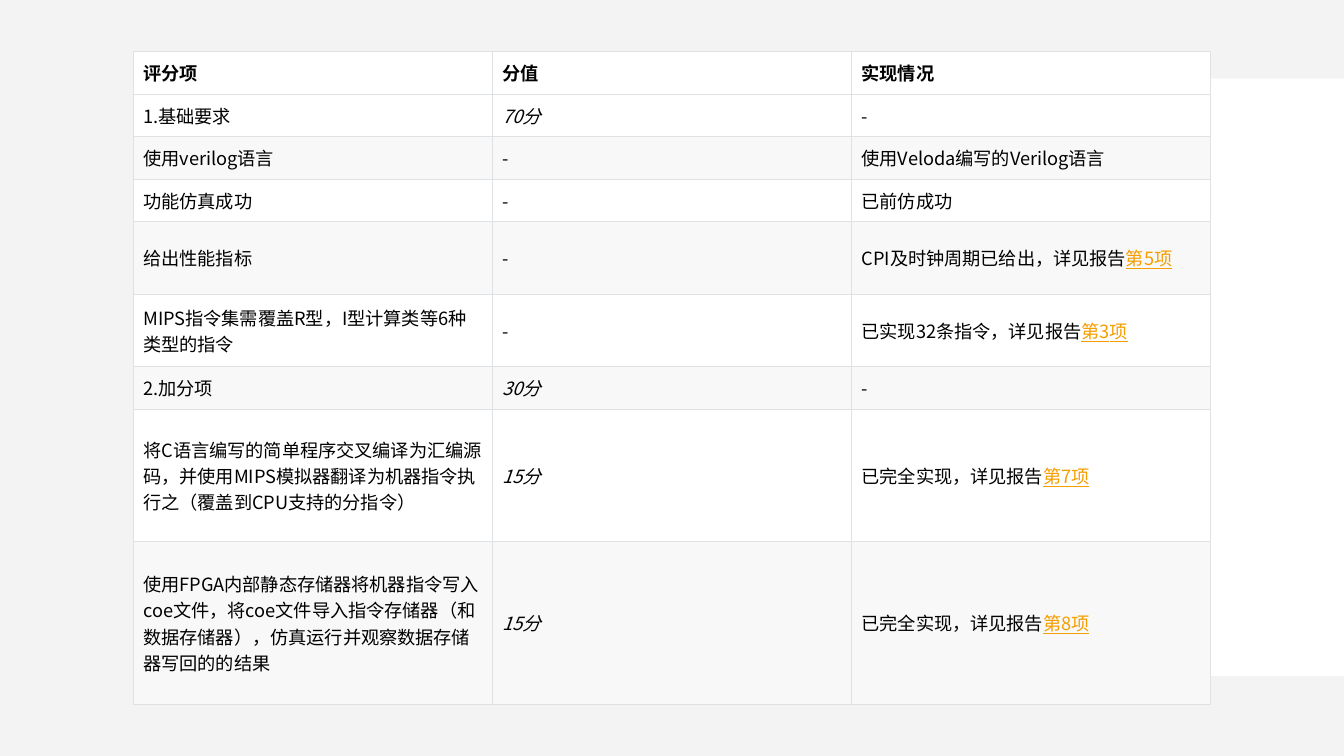
from lxml.etree import SubElement
from pptx import Presentation
from pptx.dml.color import RGBColor
from pptx.enum.shapes import MSO_SHAPE as SHAPE
from pptx.enum.text import MSO_ANCHOR as ANCHOR
from pptx.oxml import parse_xml
from pptx.oxml.ns import nsdecls, qn
from pptx.util import Cm, Pt

FONT = "Noto Sans CJK SC"
COLORS = {
    "backdrop": "DDDDDD",
    "white": "FFFFFF",
    "stripe": "F8F8F8",
    "border": "DFE2E5",
    "text": "000000",
    "accent": "F59E00",
}
HEADER = ("评分项", "分值", "实现情况", "")
ROWS = [
    (1.07, HEADER),
    (1.07, ("1.基础要求", "70分", "-", "")),
    (1.07, ("使用verilog语言", "-", "使用Veloda编写的Verilog语言", "")),
    (1.07, ("功能仿真成功", "-", "已前仿成功", "")),
    (1.83, ("给出性能指标", "-", "CPI及时钟周期已给出，详见报告", "第5项")),
    (1.83, ("MIPS指令集需覆盖R型，I型计算类等6种类型的指令", "-",
            "已实现32条指令，详见报告", "第3项")),
    (1.07, ("2.加分项", "30分", "-", "")),
    (3.34, ("将C语言编写的简单程序交叉编译为汇编源码，并使用MIPS模拟器翻译为机器指令执行之"
            "（覆盖到CPU支持的分指令）", "15分", "已完全实现，详见报告", "第7项")),
    (4.1, ("使用FPGA内部静态存储器将机器指令写入coe文件，将coe文件导入指令存储器"
           "（和数据存储器），仿真运行并观察数据存储器写回的的结果", "15分",
           "已完全实现，详见报告", "第8项")),
]


def add_run(p, text, color, bold=False, italic=False, underline=False):
    r = p.add_run()
    r.text = text
    r.font.name = FONT
    r.font.size = Pt(13)
    r.font.bold = bold
    r.font.italic = italic
    r.font.underline = underline
    r.font.color.rgb = RGBColor.from_string(COLORS[color])
    SubElement(r.font._element, qn("a:ea"), typeface=FONT)


def set_borders(cell):
    tcPr = cell._tc.get_or_add_tcPr()
    for i, side in enumerate(("lnL", "lnR", "lnT", "lnB")):
        tcPr.insert(i, parse_xml(
            f'<a:{side} {nsdecls("a")} w="{Pt(0.75)}"><a:solidFill>'
            f'<a:srgbClr val="{COLORS["border"]}"/></a:solidFill></a:{side}>'))


prs = Presentation()
prs.slide_width, prs.slide_height = Cm(33.87), Cm(19.05)
s = prs.slides.add_slide(prs.slide_layouts[6])

panels = [
    ("backdrop", 35, (0, 0, 33.87, 19.05)),
    ("white", 100, (4.11, 1.98, 29.76, 15.06)),
]
for color, opacity, box in panels:
    sp = s.shapes.add_shape(SHAPE.RECTANGLE, *map(Cm, box))
    sp.shadow.inherit = False
    sp.line.fill.background()
    sp.fill.solid()
    sp.fill.fore_color.rgb = RGBColor.from_string(COLORS[color])
    if opacity < 100:
        clr = sp._element.spPr.find(qn("a:solidFill"))[0]
        SubElement(clr, qn("a:alpha"), val=str(opacity * 1000))

height = sum(h for h, _ in ROWS)
table = s.shapes.add_table(len(ROWS), 3, Cm(3.36), Cm(1.3), Cm(27.15), Cm(height)).table
for column in table.columns:
    column.width = Cm(9.05)

for i, (row_height, (item, score, status, link)) in enumerate(ROWS):
    table.rows[i].height = Cm(row_height)
    fill = "stripe" if i and i % 2 == 0 else "white"
    for j, text in enumerate((item, score, status)):
        cell = table.cell(i, j)
        cell.vertical_anchor = ANCHOR.MIDDLE
        cell.fill.solid()
        cell.fill.fore_color.rgb = RGBColor.from_string(COLORS[fill])
        set_borders(cell)
        p = cell.text_frame.paragraphs[0]
        add_run(p, text, "text", bold=i == 0, italic=i > 0 and j == 1 and text != "-")
        if j == 2 and link:
            add_run(p, link, "accent", underline=True)

prs.save("out.pptx")
